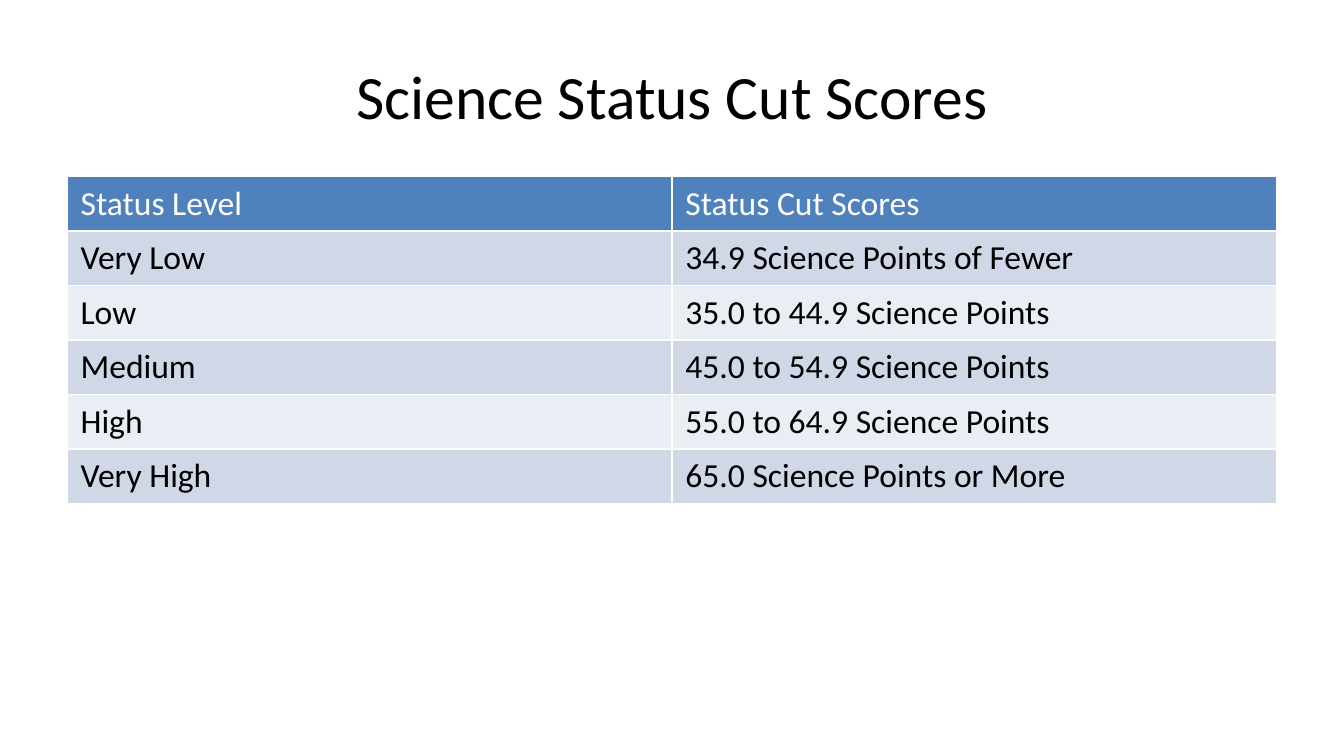
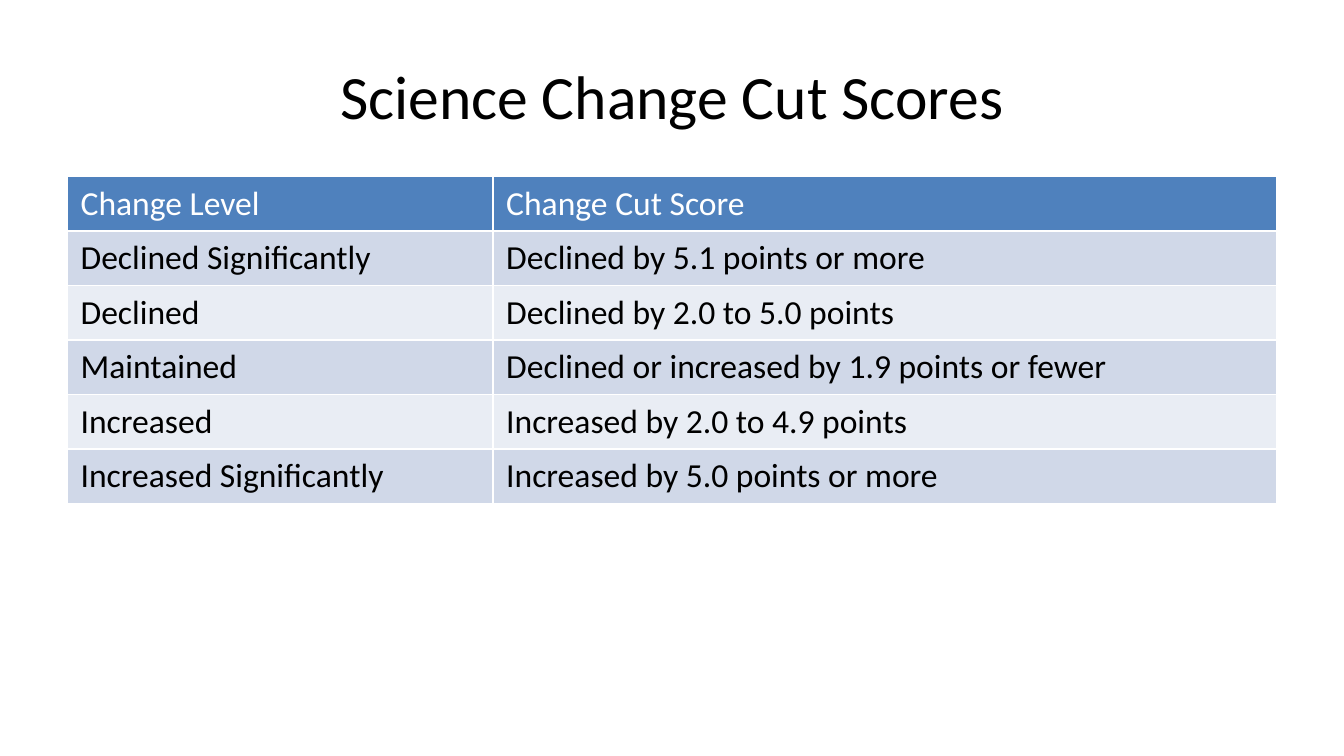
from dataclasses import dataclass

from pptx import Presentation
from pptx.dml.color import RGBColor
from pptx.enum.text import MSO_ANCHOR as Anchor, PP_ALIGN as Align
from pptx.presentation import Presentation as Deck
from pptx.slide import Slide
from pptx.table import _Cell as Cell
from pptx.text.text import _Paragraph as Paragraph
from pptx.util import Pt

FONT = "Calibri"
BLACK, WHITE = "000000", "FFFFFF"
HEADER_FILL = "4F81BD"
BAND_FILLS = ("E9EDF4", "D0D8E8")
SLIDE_W, SLIDE_H = 720, 405
MARGIN = 36
CONTENT_W = SLIDE_W - 2 * MARGIN
TITLE_BOX = {"left": MARGIN, "top": 16.9, "width": CONTENT_W, "height": 67.5}
TABLE_TOP = 94.5
ROW_H = 29.16
TITLE_FORMAT = {"name": FONT, "size": Pt(33), "bold": False}
CELL_FORMAT = {"name": FONT, "size": Pt(18), "bold": False}


@dataclass(frozen=True)
class ScoreTable:
    """A slide title with the rows of its two-column table, header first."""

    title: str
    level_w: float
    rows: tuple[tuple[str, str], ...]


SCORE_TABLES = (
    ScoreTable("Science Status Cut Scores", 324, (
        ("Status Level", "Status Cut Scores"),
        ("Very Low", "34.9 Science Points of Fewer"),
        ("Low", "35.0 to 44.9 Science Points"),
        ("Medium", "45.0 to 54.9 Science Points"),
        ("High", "55.0 to 64.9 Science Points"),
        ("Very High", "65.0 Science Points or More"),
    )),
    ScoreTable("Science Change Cut Scores", 228, (
        ("Change Level", "Change Cut Score"),
        ("Declined Significantly", "Declined by 5.1 points or more"),
        ("Declined", "Declined by 2.0 to 5.0 points"),
        ("Maintained", "Declined or increased by 1.9 points or fewer"),
        ("Increased", "Increased by 2.0 to 4.9 points"),
        ("Increased Significantly", "Increased by 5.0 points or more"),
    )),
)


def rgb(value: str) -> RGBColor:
    """Turn a hex string into a colour."""
    return RGBColor.from_string(value)


def write(p: Paragraph, text: str, color: str, style: dict) -> None:
    """Put one formatted run into a paragraph."""
    r = p.add_run()
    r.text = text
    for name, value in style.items():
        setattr(r.font, name, value)
    r.font.color.rgb = rgb(color)


def add_title(s: Slide, text: str) -> None:
    """Place and fill the title placeholder."""
    sp = s.shapes.title
    for name, value in TITLE_BOX.items():
        setattr(sp, name, Pt(value))
    tf = sp.text_frame
    tf.vertical_anchor = Anchor.MIDDLE
    p = tf.paragraphs[0]
    p.alignment = Align.CENTER
    write(p, text, BLACK, TITLE_FORMAT)


def fill_cell(cell: Cell, text: str, fill: str, color: str) -> None:
    """Colour a cell and write its text."""
    cell.fill.solid()
    cell.fill.fore_color.rgb = rgb(fill)
    write(cell.text_frame.paragraphs[0], text, color, CELL_FORMAT)


def add_score_table(s: Slide, spec: ScoreTable) -> None:
    """Draw the header row and the banded score rows."""
    n = len(spec.rows)
    table = s.shapes.add_table(n, 2, Pt(MARGIN), Pt(TABLE_TOP),
                               Pt(CONTENT_W), Pt(n * ROW_H)).table
    for col, width in zip(table.columns, (spec.level_w, CONTENT_W - spec.level_w)):
        col.width = Pt(width)
    for i, texts in enumerate(spec.rows):
        table.rows[i].height = Pt(ROW_H)
        fill, color = (BAND_FILLS[i % 2], BLACK) if i else (HEADER_FILL, WHITE)
        for j, text in enumerate(texts):
            fill_cell(table.cell(i, j), text, fill, color)


def add_score_slide(prs: Deck, spec: ScoreTable) -> None:
    """Add one title-only slide with its table."""
    s = prs.slides.add_slide(prs.slide_layouts.get_by_name("Title Only"))
    s.background.fill.solid()
    s.background.fill.fore_color.rgb = rgb(WHITE)
    add_title(s, spec.title)
    add_score_table(s, spec)


def main() -> None:
    """Build and save the deck."""
    prs = Presentation()
    prs.slide_width, prs.slide_height = Pt(SLIDE_W), Pt(SLIDE_H)
    for spec in SCORE_TABLES:
        add_score_slide(prs, spec)
    prs.save("out.pptx")


if __name__ == "__main__":
    main()
